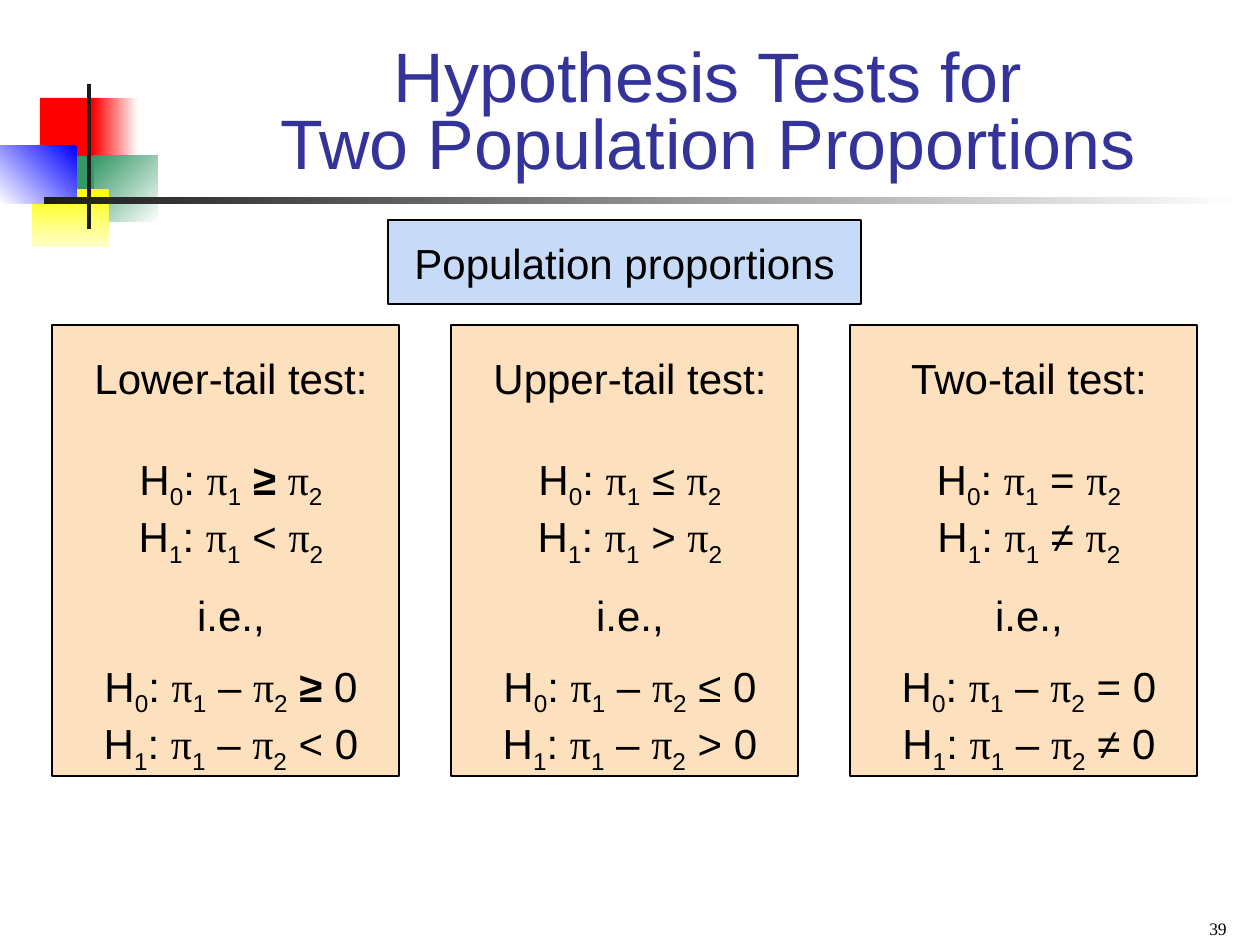
from pptx import Presentation, util as u
from pptx.dml.color import RGBColor
from pptx.enum import shapes, text

PX = u.Inches(1) / 126

BLACK = RGBColor(0x00, 0x00, 0x00)
WHITE = RGBColor(0xFF, 0xFF, 0xFF)
CHARCOAL = RGBColor(0x1C, 0x1C, 0x1C)
RED = RGBColor(0xFF, 0x00, 0x00)
GREEN = RGBColor(0x33, 0x99, 0x66)
YELLOW = RGBColor(0xFF, 0xFF, 0x00)
CREAM = RGBColor(0xFF, 0xFF, 0xCC)
BLUE = RGBColor(0x00, 0x00, 0xFF)
INDIGO = RGBColor(0x33, 0x33, 0x99)
PEACH = RGBColor(0xFD, 0xE0, 0xBD)
PALE_BLUE = RGBColor(0xC7, 0xDA, 0xF7)

BODY = {"name": "Arial", "size": u.Pt(24)}
GREEK = {"name": "Times New Roman"}
SUBSCRIPT = "-25000"
BLANK_LINE, SMALL_GAP = u.Pt(29), u.Pt(12)


def emu(*lengths):
    return [round(length * PX) for length in lengths]


def add_rect(slide, box, fill, outlined=False):
    """Fill is one colour, or (start, end, clockwise angle) for a gradient."""
    rect = slide.shapes.add_shape(shapes.MSO_SHAPE.RECTANGLE, *emu(*box))
    rect.shadow.inherit = False
    if isinstance(fill, RGBColor):
        rect.fill.solid()
        rect.fill.fore_color.rgb = fill
    else:
        *colours, angle = fill
        rect.fill.gradient()
        rect.fill.gradient_angle = 360 - angle
        for stop, colour in zip(rect.fill.gradient_stops, colours):
            stop.color.rgb = colour
    if outlined:
        rect.line.color.rgb = BLACK
        rect.line.width = u.Pt(1.5)
    else:
        rect.line.fill.background()


def add_text(slide, box, paragraphs, font=BODY, colour=BLACK,
             align=text.PP_ALIGN.CENTER, anchor=text.MSO_ANCHOR.TOP, spacing=None):
    """Each paragraph is (space before, runs); a run is (words, font values, baseline)."""
    frame = slide.shapes.add_textbox(*emu(*box)).text_frame
    frame.word_wrap = True
    frame.vertical_anchor = anchor
    for number, (gap, runs) in enumerate(paragraphs):
        paragraph = frame.add_paragraph() if number else frame.paragraphs[0]
        paragraph.alignment = align
        paragraph.line_spacing = spacing
        if gap:
            paragraph.space_before = gap
        for words, changes, baseline in runs:
            for line_number, line in enumerate(words.split("\n")):
                if line_number:
                    paragraph.add_line_break()
                run = paragraph.add_run()
                run.text = line
                for key, value in {**font, **changes}.items():
                    setattr(run.font, key, value)
                run.font.color.rgb = colour
                if baseline:
                    run.font._element.set("baseline", baseline)


def plain(words):
    return [(words, {}, None)]


def indexed(symbol, index, changes):
    return [(symbol, changes, None), (index, {}, SUBSCRIPT)]


def hypothesis(index, relation, as_difference):
    """Runs for H: π1 relation π2, or H: π1 – π2 relation 0."""
    first, second = (indexed("π", i, GREEK) for i in "12")
    relation_run = [(f" {relation} ", {"bold": relation == "≥"}, None)]
    label = indexed("H", index, {}) + plain(": ")
    if as_difference:
        return label + first + plain(" – ") + second + relation_run + plain("0")
    return label + first + relation_run + second


def add_ornament(slide, left, top):
    parts = [
        ((40, 14, 60, 66), RED),
        ((93, 14, 45, 66), (WHITE, RED, 180)),
        ((94, 72, 64, 66), (WHITE, GREEN, 225)),
        ((54, 72, 40, 66), GREEN),
        ((32, 105, 77, 58), (YELLOW, CREAM, 90)),
        ((0, 62, 77, 58), (BLUE, WHITE, 135)),
        ((87, 0, 4, 145), CHARCOAL),
        ((44, 113, 1198, 7), (WHITE, CHARCOAL, 180)),
    ]
    for (x, y, width, height), fill in parts:
        add_rect(slide, (left + x, top + y, width, height), fill)


def add_title(slide, box):
    add_text(slide, box, [(None, plain("Hypothesis Tests for\nTwo Population Proportions"))],
             {"name": "Arial", "size": u.Pt(40)}, INDIGO,
             anchor=text.MSO_ANCHOR.BOTTOM, spacing=0.8)


def add_heading(slide, left, top, width, height):
    add_rect(slide, (left, top, width, height), PALE_BLUE, outlined=True)
    add_text(slide, (left, top + 11, width, height - 21),
             [(None, plain("Population proportions"))])


def add_test_panel(slide, left, top, width, height, name, null, alternative):
    add_rect(slide, (left, top, width, height), PEACH, outlined=True)
    add_text(slide, (left - 10, top + 21, width + 31, height - 15), [
        (None, plain(f"{name} test:")),
        (BLANK_LINE, hypothesis("0", null, False)),
        (None, hypothesis("1", alternative, False)),
        (SMALL_GAP, plain("i.e.,")),
        (SMALL_GAP, hypothesis("0", null, True)),
        (None, hypothesis("1", alternative, True)),
    ])


def add_page_number(slide, box):
    add_text(slide, box, [(None, plain("39"))], {**GREEK, "size": u.Pt(10)},
             align=text.PP_ALIGN.RIGHT, anchor=text.MSO_ANCHOR.BOTTOM)


def main():
    deck = Presentation()
    deck.slide_width, deck.slide_height = emu(1260, 945)
    slide = deck.slides.add_slide(deck.slide_layouts[6])
    add_ornament(slide, 0, 84)
    add_title(slide, (199, 53, 1018, 136))
    add_heading(slide, 388, 220, 473, 84)
    tests = [("Lower-tail", "≥", "<"), ("Upper-tail", "≤", ">"), ("Two-tail", "=", "≠")]
    for column, test in enumerate(tests):
        add_test_panel(slide, 52 + 399 * column, 325, 347, 451, *test)
    add_page_number(slide, (945, 901, 294, 44))
    deck.save("out.pptx")


if __name__ == "__main__":
    main()
